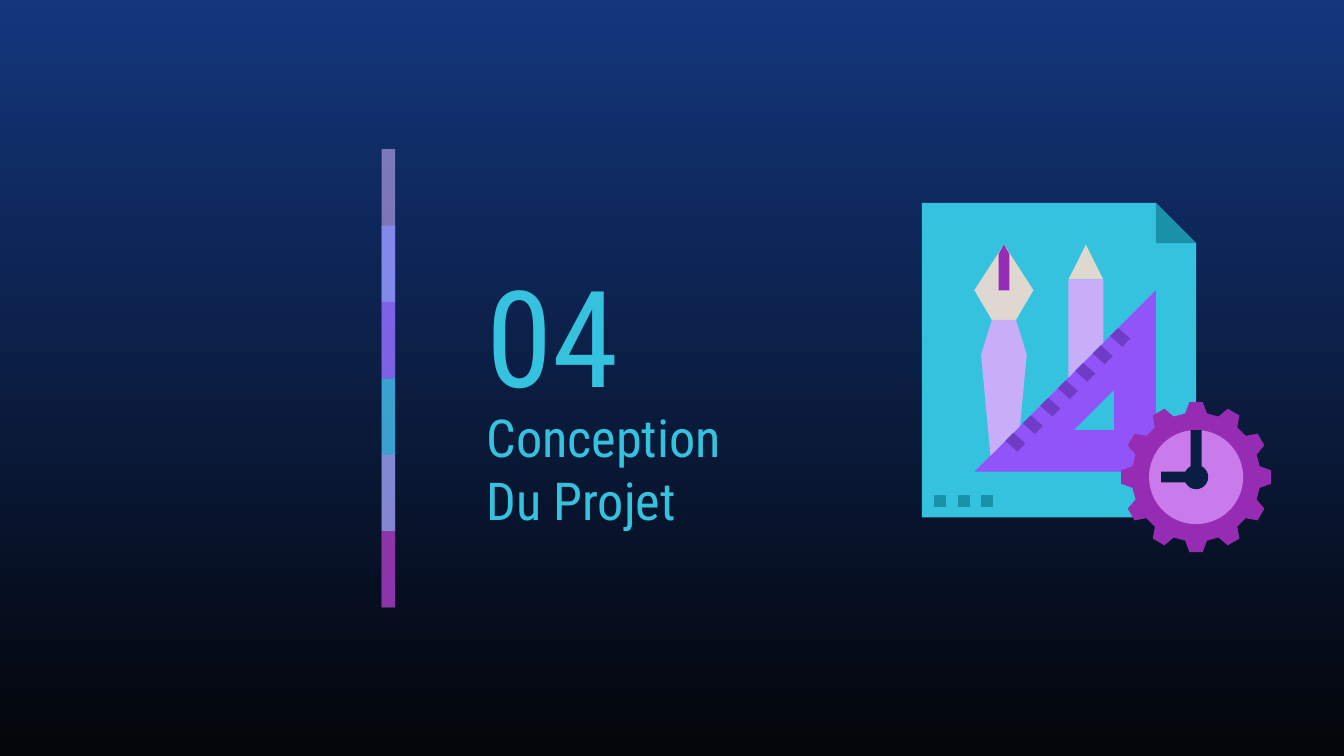
import math

import pptx
import pptx.dml.color
import pptx.enum.shapes
import pptx.enum.text
import pptx.oxml.ns
import pptx.util
from lxml import etree

Inches = pptx.util.Inches
RGBColor = pptx.dml.color.RGBColor
Shape = pptx.enum.shapes.MSO_SHAPE

FONT = "Roboto Condensed"
NIGHT_TOP = RGBColor(0x13, 0x36, 0x7C)
NIGHT_BOTTOM = RGBColor(0x03, 0x05, 0x09)
CYAN = RGBColor(0x35, 0xC2, 0xDF)
TEAL = RGBColor(0x1B, 0x91, 0xA9)
LILAC = RGBColor(0xC8, 0xAE, 0xF8)
PERIWINKLE = RGBColor(0x87, 0x8F, 0xFF)
VIOLET = RGBColor(0x91, 0x54, 0xF8)
DARK_VIOLET = RGBColor(0x6F, 0x3C, 0xC6)
ORCHID = RGBColor(0xCA, 0x7B, 0xEB)
PURPLE = RGBColor(0x97, 0x2C, 0xB4)
SAND = RGBColor(0xDE, 0xD8, 0xD0)
NAVY = RGBColor(0x0A, 0x1D, 0x42)

STRIPE_COLORS = [(LILAC, 59), (PERIWINKLE, 74), (VIOLET, 53),
                 (CYAN, 76), (ORCHID, 56), (PURPLE, 74)]


def paint(shape, color, opacity=100):
    shape.shadow.inherit = False
    shape.fill.solid()
    shape.fill.fore_color.rgb = color
    shape.line.fill.background()
    if opacity < 100:
        tag = pptx.oxml.ns.qn("a:srgbClr")
        color_element = next(shape.fill._xPr.iter(tag))
        alpha = etree.SubElement(color_element, pptx.oxml.ns.qn("a:alpha"))
        alpha.set("val", str(opacity * 1000))


def draw_outline(shapes, left, top, color, *contours):
    """Fill closed contours, given in inches from (left, top)."""
    builder = None
    for contour in contours:
        points = [(Inches(left + x), Inches(top + y)) for x, y in contour]
        if builder is None:
            builder = shapes.build_freeform(*points[0], scale=1.0)
        else:
            builder.move_to(*points[0])
        builder.add_line_segments(points[1:], close=True)
    paint(builder.convert_to_shape(), color)


def draw_disc(shapes, center_x, center_y, radius, color):
    disc = shapes.add_shape(
        Shape.OVAL, Inches(center_x - radius), Inches(center_y - radius),
        Inches(2 * radius), Inches(2 * radius))
    paint(disc, color)


def draw_background(slide):
    fill = slide.background.fill
    fill.gradient()
    fill.gradient_angle = 270
    for stop, color in zip(fill.gradient_stops, (NIGHT_TOP, NIGHT_BOTTOM)):
        stop.color.rgb = color


def draw_stripe(slide, left, top, width, height):
    """Each translucent band also runs under the next one, except the last."""
    group = slide.shapes.add_group_shape()
    step = height / len(STRIPE_COLORS)
    for i, (color, opacity) in enumerate(STRIPE_COLORS):
        band_height = min(2 * step, height - i * step)
        band = group.shapes.add_shape(
            Shape.RECTANGLE, Inches(left), Inches(top + i * step),
            Inches(width), Inches(band_height))
        paint(band, color, opacity)


def fill_heading(heading, left, top, width, height, lines, size):
    box = {"left": left, "top": top, "width": width, "height": height}
    for name, value in box.items():
        setattr(heading, name, Inches(value))
    frame = heading.text_frame
    frame.text = "\n".join(lines)
    frame_format = {
        "word_wrap": True,
        "auto_size": pptx.enum.text.MSO_AUTO_SIZE.NONE,
        "vertical_anchor": pptx.enum.text.MSO_ANCHOR.MIDDLE,
        **{f"margin_{side}": Inches(0.1)
           for side in ("left", "top", "right", "bottom")},
    }
    for name, value in frame_format.items():
        setattr(frame, name, value)
    for paragraph in frame.paragraphs:
        paragraph.alignment = pptx.enum.text.PP_ALIGN.LEFT
        paragraph.space_before = pptx.util.Pt(0)
        font = paragraph.runs[0].font
        font.name = FONT
        font.size = pptx.util.Pt(size)
        font.color.rgb = CYAN


def draw_clock_gear(shapes, center_x, center_y):
    teeth = 12
    tooth = [(0.48, -9.7), (0.56, -5.1), (0.56, 5.1), (0.48, 9.7)]
    rim = []
    for i in range(teeth):
        for radius, degrees in tooth:
            angle = math.radians(360 / teeth * i + degrees)
            rim.append((radius * math.sin(angle), -radius * math.cos(angle)))
    draw_outline(shapes, center_x, center_y, PURPLE, rim)
    draw_disc(shapes, center_x, center_y, 0.35, ORCHID)
    hands = [(-0.04, -0.35), (-0.04, -0.04), (-0.26, -0.04),
             (-0.26, 0.04), (0.04, 0.04), (0.04, -0.35)]
    draw_outline(shapes, center_x, center_y, NAVY, hands)
    draw_disc(shapes, center_x, center_y, 0.09, NAVY)


def draw_design_icon(slide, left, top, width, height):
    shapes = slide.shapes.add_group_shape().shapes
    fold = 0.3
    crease = width - fold

    page = [(0, 0), (0, height), (width, height), (width, fold), (crease, 0)]
    folded_corner = [(crease, 0), (crease, fold), (width, fold)]
    set_square = [(1.74, 0.65), (0.39, 2), (1.74, 2)]
    set_square_hole = [(1.43, 1.39), (1.43, 1.69), (1.13, 1.69)]
    pencil_tip = [(1.22, 0.31), (1.09, 0.57), (1.35, 0.57)]
    pencil = [(1.09, 0.57), (1.09, 1.3), (1.35, 1.04), (1.35, 0.57)]
    nib = [(0.61, 0.31), (0.39, 0.65), (0.52, 0.87), (0.7, 0.87), (0.83, 0.65)]
    pen = [(0.52, 0.87), (0.44, 1.13), (0.51, 1.88),
           (0.73, 1.66), (0.78, 1.13), (0.7, 0.87)]
    nib_slit = [(0.61, 0.31), (0.57, 0.38), (0.57, 0.65),
                (0.65, 0.65), (0.65, 0.38)]
    for color, *contours in [
            (CYAN, page), (TEAL, folded_corner),
            (VIOLET, set_square_hole, set_square),
            (SAND, pencil_tip), (LILAC, pencil),
            (SAND, nib), (LILAC, pen), (PURPLE, nib_slit)]:
        draw_outline(shapes, left, top, color, *contours)

    tick = [(0, 0.06), (0.06, 0), (0.15, 0.08), (0.09, 0.14)]
    for i in range(7):
        draw_outline(shapes, left + 0.62 + 0.13 * i, top + 1.71 - 0.13 * i,
                     DARK_VIOLET, tick)
    dot = [(0, 0), (0, 0.09), (0.09, 0.09), (0.09, 0)]
    for i in range(3):
        draw_outline(shapes, left + 0.09 + 0.35 * i / 2, top + 2.17, TEAL, dot)

    draw_clock_gear(shapes, left + width, top + height - 0.3)


def build_section_slide(presentation):
    slide = presentation.slides.add_slide(presentation.slide_layouts[0])
    title, number = slide.placeholders
    draw_background(slide)
    draw_stripe(slide, 2.84, 1.11, 0.1, 3.41)
    fill_heading(number, 3.52, 1.81, 1.75, 1.35, ["04"], 72)
    fill_heading(title, 3.52, 3.15, 2.87, 0.67, ["Conception", "Du Projet"], 28)
    draw_design_icon(slide, 6.86, 1.51, 2.04, 2.34)


def main():
    presentation = pptx.Presentation()
    presentation.slide_width = Inches(10)
    presentation.slide_height = Inches(10 * 9 / 16)
    build_section_slide(presentation)
    presentation.save("out.pptx")


if __name__ == "__main__":
    main()
